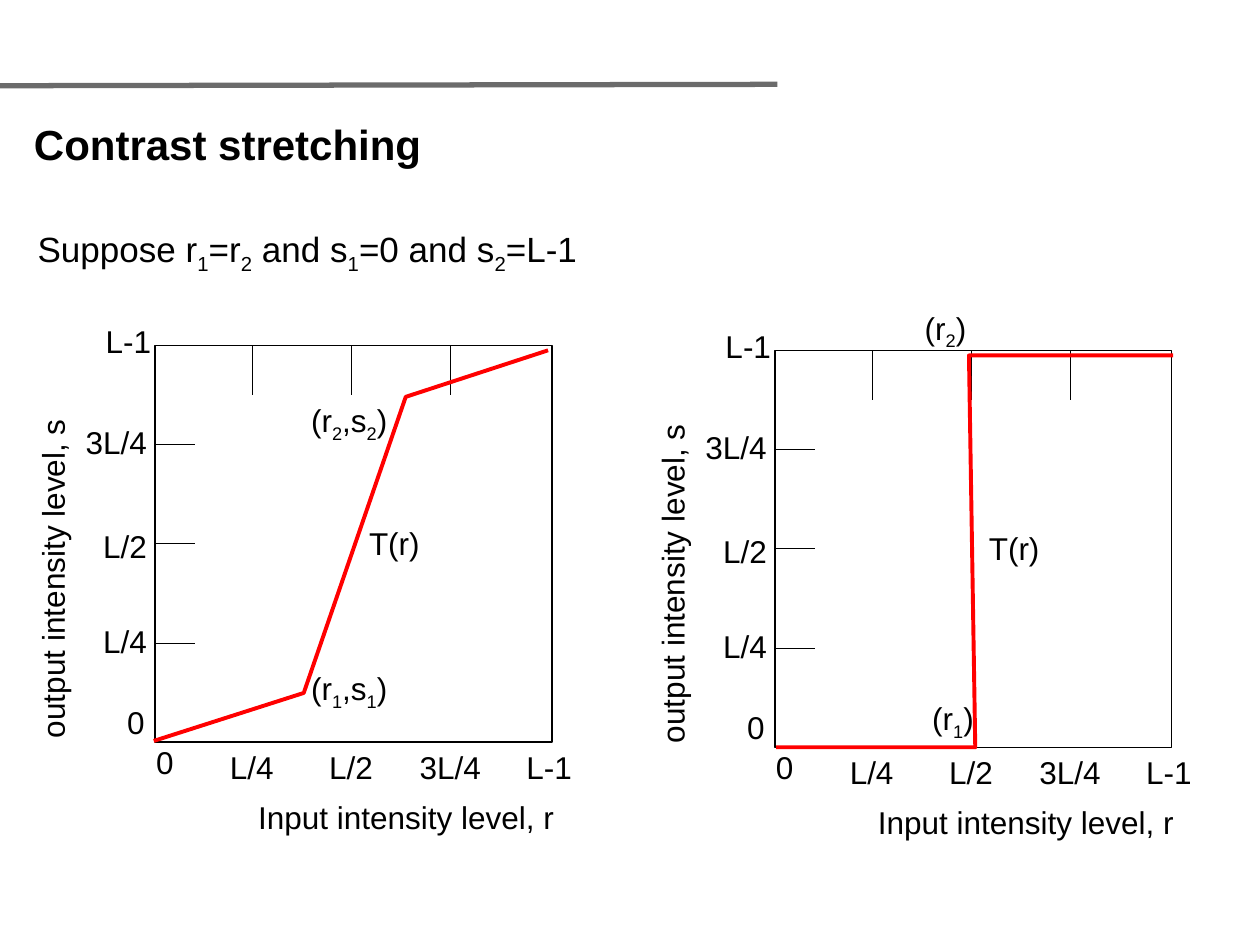
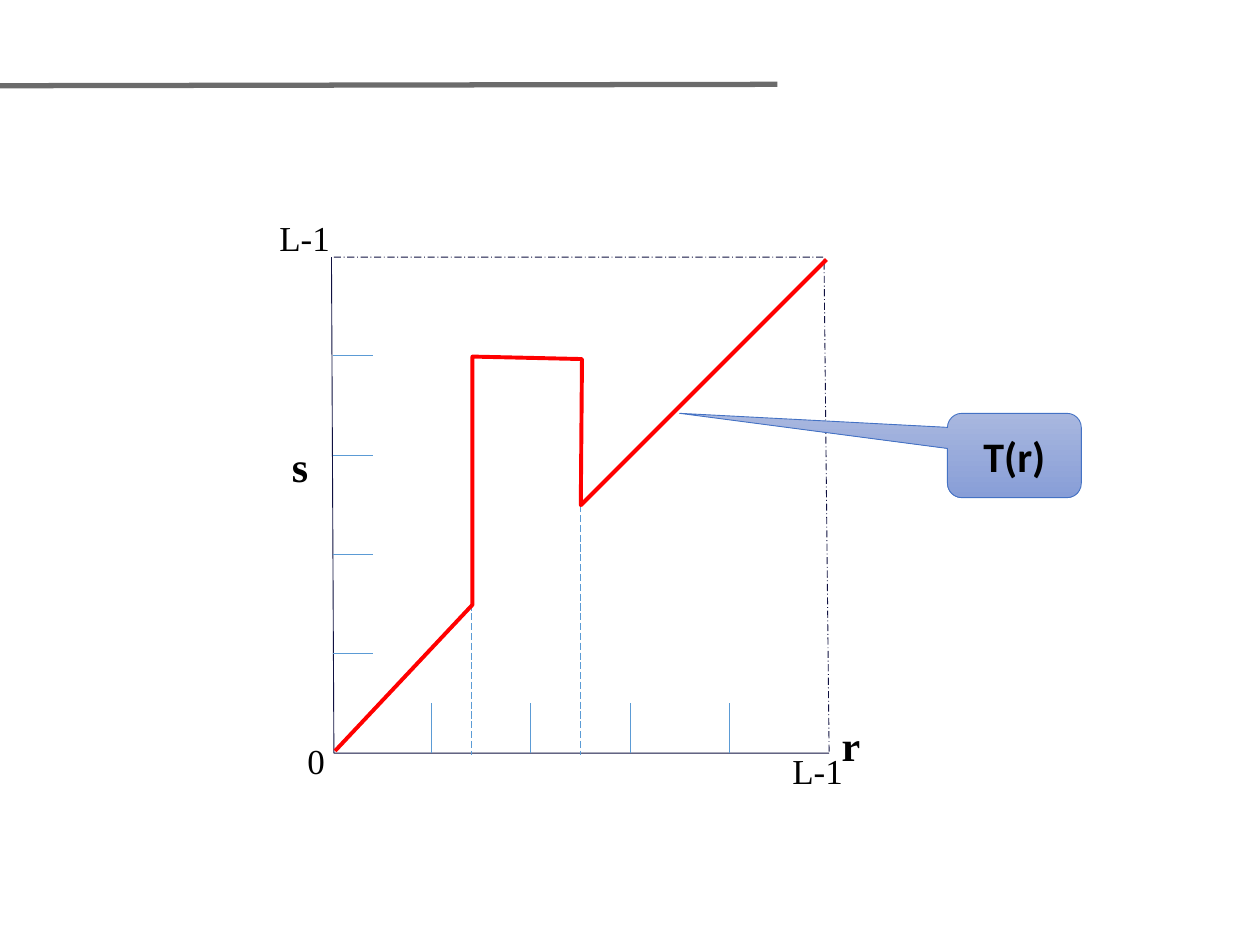
"""Build two slides on piecewise-linear intensity transforms."""
from dataclasses import dataclass
from typing import Any, Optional

from lxml import etree
from pptx import Presentation
from pptx import util as u
from pptx.dml.color import RGBColor
from pptx.enum import dml, shapes, text
from pptx.oxml import ns

Pt = u.Pt
Point = tuple[float, float]


@dataclass(frozen=True)
class Theme:
    ink: str = "000000"
    paper: str = "FFFFFF"
    band: str = "6B6B6B"
    curve: str = "FF0000"
    axis: str = "101141"
    tick: str = "5B9BD5"
    edge: str = "4472C4"
    light: str = "A8B7DF"
    dark: str = "889ED7"
    sans: str = "Arial"
    serif: str = "Times New Roman"
    note: str = "Calibri"
    large: float = 24
    body: float = 20
    small: float = 18
    thin: float = 0.5
    frame: float = 0.75
    bold: float = 2.25
    thick: float = 3


T = Theme()


@dataclass(frozen=True)
class Label:
    words: str
    x: float
    y: float
    wide: float
    size: float = T.small
    font: str = T.sans
    bold: bool = False
    turn: float = 0


@dataclass(frozen=True)
class Graph:
    x: float
    y: float
    curve: list[Point]
    marks: list[Label]


SIDE = 226.8
STEP = SIDE / 4
TICK = 23
SHIFT = -1.2

SCALE = [
    Label("0", -23, 200.9, 24.5),
    Label("0", -6.5, 223.9, 24.5),
    Label("L/4", -36.7, 154.8, 39.6),
    Label("L/2", -36.7, 100.1, 39.6),
    Label("3L/4", -46.8, 41, 49.7),
    Label("L-1", -35.3, -16.6, 41),
    Label("Input intensity level, r", 51.8, 254.9, 185),
    Label("output intensity level, s", -157.7, 118.1, 198, turn=270),
    Label("T(r)", 115.2, 98.6, 44),
] + [
    Label(words, k * STEP + SHIFT - wide / 2, SIDE, wide)
    for k, (words, wide) in enumerate(
        [("L/4", 39.6), ("L/2", 39.6), ("3L/4", 49.7), ("L-1", 41)], 1)
]

GRAPHS = [
    Graph(88.6, 197.3,
          [(-0.7, 226.1), (85, 198.7), (143.3, 29.5), (224.6, 2.9)],
          [Label("(r_1,s_1)", 82.1, 181.4, 60.5),
           Label("(r_2,s_2)", 82.1, 28.1, 60.5)]),
    Graph(442.8, 200.2,
          [(0.7, SIDE), (114.5, SIDE), (110.9, 2.9), (227.5, 2.9)],
          [Label("(r_1)", 82.8, 195.8, 39.6),
           Label("(r_2)", 78.5, -27.4, 39.6)]),
]

SLICE = [
    Label("0", 168.5, 419, 26, T.body, T.serif),
    Label("L-1", 445.7, 424.8, 44, T.body, T.serif),
    Label("r", 473.8, 407.5, 24, T.large, T.serif, True),
    Label("s", 159.8, 248.4, 28, T.large, T.serif, True),
    Label("L-1", 152.6, 120.2, 44, T.body, T.serif),
]


def tint(code: str) -> RGBColor:
    """Turn a hex code into a colour."""
    return RGBColor.from_string(code)


def pen(item: Any, code: str, width: float, dash: Optional[Any] = None) -> None:
    """Set the line of a shape or connector."""
    item.line.color.rgb = tint(code)
    item.line.width = Pt(width)
    if dash is not None:
        item.line.dash_style = dash


def line(pool: Any, start: Point, end: Point, code: str, width: float,
         dash: Optional[Any] = None) -> Any:
    """Draw a straight connector without shadow."""
    item = pool.add_connector(shapes.MSO_CONNECTOR.STRAIGHT,
                              *(Pt(v) for v in start + end))
    pen(item, code, width, dash)
    etree.SubElement(item.element.spPr, ns.qn("a:effectLst"))
    return item


def trace(pool: Any, spots: list[Point], code: str, width: float,
          dash: Optional[Any] = None) -> None:
    """Draw an open outline through the given points."""
    first, *rest = [(Pt(x), Pt(y)) for x, y in spots]
    maker = pool.build_freeform(*first)
    maker.add_line_segments(rest, close=False)
    item = maker.convert_to_shape()
    item.fill.background()
    item.shadow.inherit = False
    pen(item, code, width, dash)


def write(item: Any, label: Label) -> None:
    """Write text in a shape, lowering each character after an underscore."""
    head, *tail = label.words.split("_")
    para = item.text_frame.paragraphs[0]
    para.text = head
    for part in tail:
        for piece in (part[0], part[1:]):
            para.add_run().text = piece
    for run in para.runs:
        run.font.name = label.font
        run.font.size = Pt(label.size)
        run.font.bold = label.bold
        run.font.color.rgb = tint(T.ink)
    for props in list(item.element.iter(ns.qn("a:rPr")))[1::2]:
        props.set("baseline", "-25000")


def place(item: Any, label: Label) -> None:
    """Fit a text shape to its label and fill it."""
    item.left, item.top = Pt(label.x), Pt(label.y)
    item.width, item.height = Pt(label.wide), Pt(label.size * 1.2 + 7.2)
    item.rotation = label.turn
    frame = item.text_frame
    frame.word_wrap = False
    frame.auto_size = text.MSO_AUTO_SIZE.SHAPE_TO_FIT_TEXT
    frame.vertical_anchor = text.MSO_ANCHOR.TOP
    write(item, label)
    frame.paragraphs[0].alignment = text.PP_ALIGN.LEFT


def put(pool: Any, label: Label, x: float = 0, y: float = 0) -> None:
    """Add a text box for a label, offset from a corner."""
    spot = Label(label.words, label.x + x, label.y + y, label.wide,
                 label.size, label.font, label.bold, label.turn)
    box = pool.add_textbox(Pt(spot.x), Pt(spot.y), Pt(spot.wide), Pt(spot.size))
    place(box, spot)


def plot(pool: Any, graph: Graph) -> None:
    """Draw a framed graph with ticks, labels and curve."""
    x, y = graph.x, graph.y
    frame = pool.add_shape(shapes.MSO_SHAPE.RECTANGLE,
                           Pt(x), Pt(y), Pt(SIDE), Pt(SIDE))
    frame.shadow.inherit = False
    frame.fill.solid()
    frame.fill.fore_color.rgb = tint(T.paper)
    pen(frame, T.ink, T.frame)
    for k in (1, 2, 3):
        row, col = y + k * STEP, x + k * STEP + SHIFT
        mark = line(pool, (x, row), (x + TICK, row), T.ink, T.thin)
        if k == 2:
            mark.begin_connect(frame, 1)
        line(pool, (col, y), (col, y + 28.3), T.ink, T.thin)
    for label in SCALE + graph.marks:
        put(pool, label, x, y)
    trace(pool, [(x + a, y + b) for a, b in graph.curve], T.curve, T.bold)


def start(deck: Any, index: int) -> Any:
    """Add a slide with the shared band."""
    slide = deck.slides.add_slide(deck.slide_layouts[index])
    line(slide.shapes, (-1.4, 49), (444.2, 48.2), T.band, T.thick)
    return slide


def stretch(deck: Any) -> None:
    """Build the contrast stretching slide."""
    slide = start(deck, 5)
    pool = slide.shapes
    place(pool.title, Label("Contrast stretching", 12.2, 64.1, 238.3,
                            T.large, bold=True))
    put(pool, Label("Suppose r_1=r_2 and s_1=0 and s_2=L-1",
                    14.4, 126.7, 328.3, T.body))
    left, right = GRAPHS
    plot(pool, left)
    plot(pool.add_group_shape().shapes, right)


def callout(pool: Any) -> None:
    """Draw the callout that names the curve."""
    item = pool.add_shape(shapes.MSO_SHAPE.ROUNDED_RECTANGULAR_CALLOUT,
                          Pt(541.4), Pt(236.2), Pt(76.5), Pt(48.2))
    for k, value in enumerate((-2.5, -0.5, 0.17)):
        item.adjustments[k] = value
    item.shadow.inherit = False
    item.fill.gradient()
    item.fill.gradient_angle = 270
    for stop, code in zip(item.fill.gradient_stops, (T.light, T.dark)):
        stop.color.rgb = tint(code)
    pen(item, T.edge, T.thin)
    write(item, Label("T(r)", 0, 0, 0, T.large, T.note, True))
    item.text_frame.vertical_anchor = text.MSO_ANCHOR.MIDDLE
    item.text_frame.paragraphs[0].alignment = text.PP_ALIGN.CENTER


def slicing(deck: Any) -> None:
    """Build the intensity slicing slide."""
    pool = start(deck, 6).shapes
    left, base, gap = 190.1, 430.4, 56.8
    trace(pool, [(189.4, 146.9), (190.8, base), (473.8, base)], T.axis, T.thin)
    trace(pool, [(190.8, 146.9), (470.9, 146.9), (473.8, base)],
          T.axis, T.thin, dml.MSO_LINE.LONG_DASH_DOT)
    for k in (1, 2, 3, 4):
        row, col = base - k * gap, left + k * gap - 0.5
        line(pool, (left, row), (left + TICK, row), T.tick, T.thin)
        line(pool, (col, base - 28.4), (col, base), T.tick, T.thin)
    for label in SLICE:
        put(pool, label)
    callout(pool)
    for col in (269.3, 331.9):
        line(pool, (col, 204.5), (col, 431.3), T.tick, T.thin,
             dml.MSO_LINE.LONG_DASH)
    trace(pool, [(191.5, 429.1), (270, 345.6), (270, 203.8), (332.6, 205.2),
                 (331.9, 288.7), (472.3, 148.3)], T.curve, T.bold)


def main() -> None:
    """Build and save the deck."""
    deck = Presentation()
    deck.slide_width, deck.slide_height = Pt(720), Pt(540)
    stretch(deck)
    slicing(deck)
    deck.save("out.pptx")


if __name__ == "__main__":
    main()
